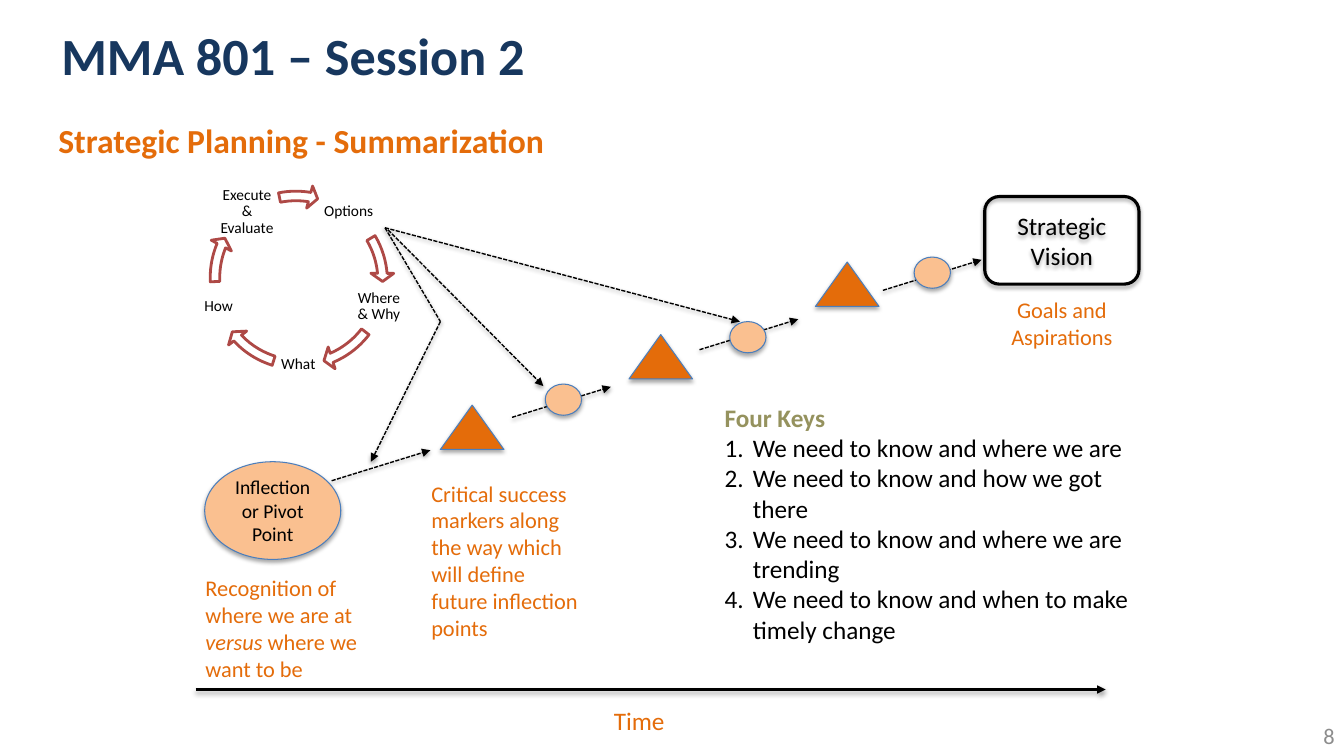
from lxml.etree import SubElement
from pptx import Presentation
from pptx.dml.color import RGBColor
from pptx.enum.dml import MSO_LINE
from pptx.enum.shapes import MSO_CONNECTOR, MSO_SHAPE
from pptx.enum.text import MSO_ANCHOR, PP_ALIGN
from pptx.oxml.ns import qn
from pptx.util import Pt

COLORS = {"navy": "17375E", "orange": "E46C0A", "peach": "FAC090", "blue": "4B7EBC",
          "red": "AE4946", "olive": "95925E", "gray": "8C8C8C", "black": "000000",
          "white": "FFFFFF"}
FONT = "Calibri"
LEFT, CENTER, RIGHT = PP_ALIGN.LEFT, PP_ALIGN.CENTER, PP_ALIGN.RIGHT
TOP, MIDDLE = MSO_ANCHOR.TOP, MSO_ANCHOR.MIDDLE

TITLE = "MMA 801 – Session 2"
SUBTITLE = "Strategic Planning - Summarization"
PIVOT = "Inflection or Pivot Point"
VISION = "Strategic Vision"
RECOGNITION = [("Recognition of where we are at ", False), ("versus", True),
               (" where we want to be", False)]
CAPTIONS = [
    ("Time", (383.8, 500.4, 145.4, 28.8), 18, CENTER),
    ("Goals and Aspirations", (703.4, 208.1, 110.2, 46.1), 16, CENTER),
    ("Critical success markers along the way which will define future inflection points",
     (301, 339.1, 122.4, 123.8), 16, LEFT),
]
KEYS_HEADING = "Four Keys"
KEYS = ["We need to know and where we are",
        "We need to know and how we got there",
        "We need to know and where we are trending",
        "We need to know and when to make timely change"]
CYCLE = [
    ("Options", (226.8, 133.2, 44.6, 36), (145.4, 132.5), (212.95, 197.65)),
    ("Where & Why", (252.7, 200.9, 36, 36), (145.4, 132.5), (40.16, 22.52)),
    ("What", (195.1, 242.6, 36, 36), (145.4, 132.5), (82.12, 64.48)),
    ("How", (138.2, 200.9, 36, 36), (145.4, 130.3), (121.5, 106.39)),
    ("Execute & Evaluate", (153.4, 133.2, 46.1, 36), (143.3, 131.8), (167.67, 155.25)),
]
CYCLE_SIZE = 136.1
STEP_STARTS = [(236.9, 343.4), (365.8, 298.1), (499.7, 249.8), (630.7, 207.4)]
STEP_RUN, STEP_RISE = 70.5, 21.8
TRIANGLES = [(314.6, 289.4), (449.3, 239), (582.5, 187.2)]
CIRCLES = [(389.5, 274.3), (521.3, 229.7), (653, 183.6)]
OPTION_LINES = [
    ((277.2, 164.2), (388.1, 275.8), True),
    ((275, 162.7), (314.6, 229.7), False),
    ((275, 162.7), (528.5, 229.7), True),
    ((314.6, 229.7), (265, 329.8), True),
]


def rgb(name):
    return RGBColor.from_string(COLORS[name])


def add_shadow(effects, alpha, dist):
    shadow = SubElement(effects, qn("a:outerShdw"), blurRad=str(Pt(3.1)),
                        dist=str(Pt(dist)), dir="5400000", rotWithShape="0")
    color = SubElement(shadow, qn("a:srgbClr"), val=COLORS["black"])
    SubElement(color, qn("a:alpha"), val=str(alpha * 1000))


def add_run(p, text, size, color, bold=False, italic=False):
    r = p.add_run()
    r.text = text
    r.font.name, r.font.size = FONT, Pt(size)
    r.font.bold, r.font.italic = bold, italic
    r.font.color.rgb = rgb(color)


def setup_frame(tf, align=LEFT, anchor=TOP, insets=(7.2, 3.6)):
    tf.word_wrap = True
    tf.vertical_anchor = anchor
    tf.margin_left = tf.margin_right = Pt(insets[0])
    tf.margin_top = tf.margin_bottom = Pt(insets[1])
    tf.paragraphs[0].alignment = align
    return tf.paragraphs[0]


def add_label(box, runs, size, color, align=LEFT, anchor=TOP, insets=(7.2, 3.6), bold=False):
    tf = s.shapes.add_textbox(*map(Pt, box)).text_frame
    p = setup_frame(tf, align, anchor, insets)
    for text, italic in runs:
        add_run(p, text, size, color, bold, italic)
    return tf


def add_figure(kind, box, fill, line, width, shadow=True):
    sp = s.shapes.add_shape(kind, *map(Pt, box))
    sp.shadow.inherit = False
    if fill:
        sp.fill.solid()
        sp.fill.fore_color.rgb = rgb(fill)
    else:
        sp.fill.background()
    sp.line.color.rgb = rgb(line)
    sp.line.width = Pt(width)
    if shadow:
        add_shadow(sp.element.spPr.find(qn("a:effectLst")), 35, 1.8)
    return sp


def add_line(start, end, width=1, dashed=True, arrow=True):
    cx = s.shapes.add_connector(MSO_CONNECTOR.STRAIGHT, *map(Pt, (*start, *end)))
    cx.line.color.rgb = rgb("black")
    cx.line.width = Pt(width)
    if dashed:
        cx.line.dash_style = MSO_LINE.SQUARE_DOT
    spPr = cx.element.spPr
    if arrow:
        SubElement(spPr.find(qn("a:ln")), qn("a:tailEnd"), type="triangle")
    add_shadow(SubElement(spPr, qn("a:effectLst")), 38, 1.6)


prs = Presentation()
prs.slide_width, prs.slide_height = Pt(960), Pt(540)
s = prs.slides.add_slide(prs.slide_layouts[6])

add_line((139.7, 492.5), (789.8, 492.5), width=2, dashed=False)
for text, box, size, align in CAPTIONS:
    add_label(box, [(text, False)], size, "orange", align)
add_label((139.7, 406.8, 123.8, 85), RECOGNITION, 16, "orange")

vision = add_figure(MSO_SHAPE.ROUNDED_RECTANGLE, (709.2, 141.4, 111.2, 62.6),
                    None, "black", 2.25)
vision.left, vision.top, vision.width, vision.height = map(Pt, (709.2, 141.4, 111.2, 62.6))
vision.left, vision.width, vision.top = Pt(709.2), Pt(111.2), Pt(141.4)
vision.left, vision.width, vision.top = Pt(703.4), Pt(110.2), Pt(140.4)
add_run(setup_frame(vision.text_frame, CENTER, MIDDLE), VISION, 18, "black")

pivot = add_figure(MSO_SHAPE.OVAL, (146.2, 329.8, 97.2, 69.8), "peach", "blue", 0.75)
add_run(setup_frame(pivot.text_frame, CENTER, MIDDLE, (5, 3.6)), PIVOT, 14, "black")

for x, y in TRIANGLES:
    add_figure(MSO_SHAPE.ISOSCELES_TRIANGLE, (x, y, 45.4, 31.7), "orange", "blue", 0.75)

for text, box, (x, y), (end, start) in CYCLE:
    tf = add_label(box, [(text, False)], 11, "black", CENTER, MIDDLE, (1.4, 1.4))
    tf.paragraphs[0].line_spacing = 0.9
    arrow = add_figure(MSO_SHAPE.CIRCULAR_ARROW, (x, y, CYCLE_SIZE, CYCLE_SIZE),
                       "white", "red", 2, shadow=False)
    for i, value in enumerate((0.05, 3.36, end, start, 0.06)):
        arrow.adjustments[i] = value

for x, y in STEP_STARTS:
    add_line((x, y), (x + STEP_RUN, y - STEP_RISE))
for start, end, arrow in OPTION_LINES:
    add_line(start, end, arrow=arrow)

keys = add_label((510.5, 283.7, 312.5, 181.4), [(KEYS_HEADING, False)], 18, "olive", bold=True)
for text in KEYS:
    p = keys.add_paragraph()
    pPr = p._p.get_or_add_pPr()
    pPr.set("marL", str(Pt(20.25)))
    pPr.set("indent", str(-Pt(20.25)))
    SubElement(pPr, qn("a:buFont"), typeface="+mj-lt")
    SubElement(pPr, qn("a:buAutoNum"), type="arabicPeriod")
    add_run(p, text, 18, "black")

add_label((36.7, 84.2, 499, 31.7), [(SUBTITLE, False)], 24, "orange",
          anchor=MIDDLE, insets=(5, 2.9), bold=True)
for x, y in CIRCLES:
    add_figure(MSO_SHAPE.OVAL, (x, y, 25.9, 22.3), "peach", "blue", 0.75)
add_label((843.1, 511.2, 117.4, 28.8), [("8", False)], 16, "gray", RIGHT, MIDDLE)
add_label((36.7, 5, 787.7, 67.7), [(TITLE, False)], 37.3, "navy", anchor=MIDDLE, bold=True)

prs.save("out.pptx")
